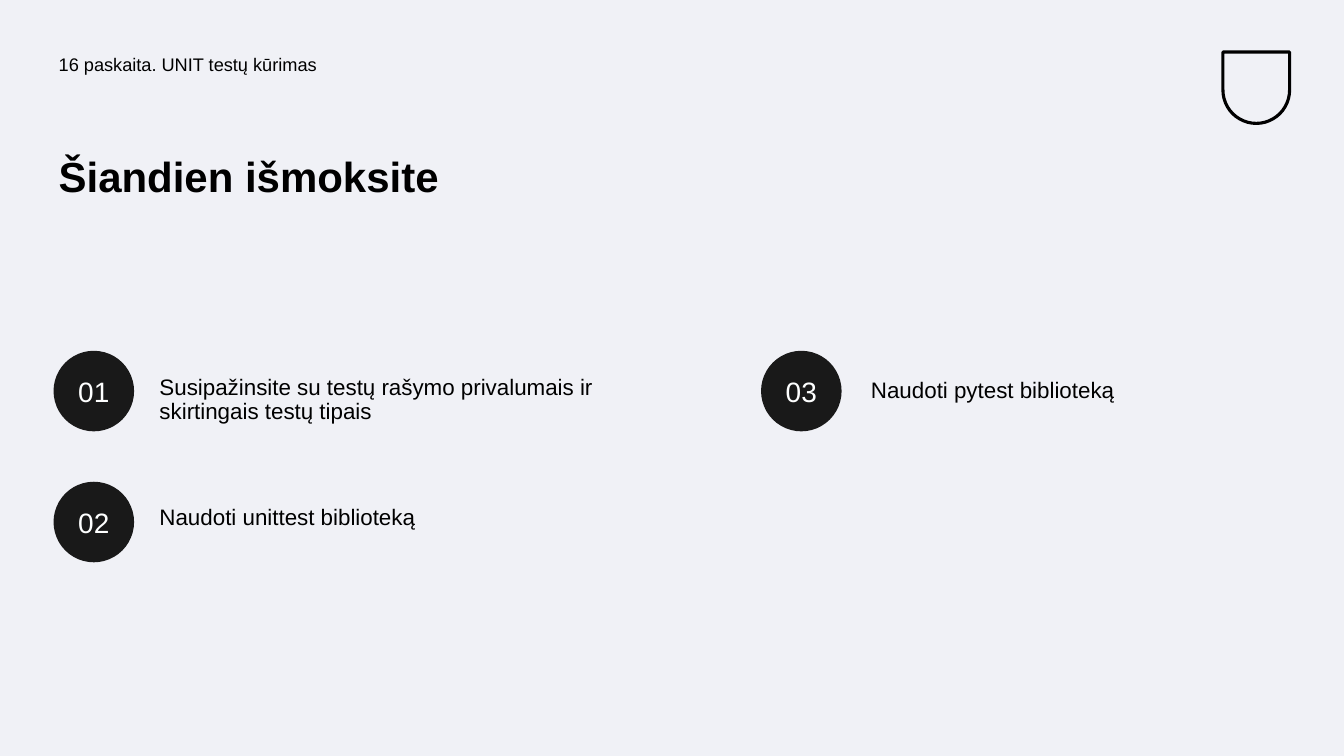
from pptx import Presentation
from pptx.dml.color import RGBColor
from pptx.enum.shapes import MSO_SHAPE as Shape
from pptx.enum.text import MSO_ANCHOR as Anchor, PP_ALIGN as Align
from pptx.util import Cm, Pt

COLORS = {
    "background": "F0F1F6",
    "ink": "000000",
    "badge": "191919",
    "number": "FEFFFF",
}


def rgb(name):
    return RGBColor.from_string(COLORS[name])


def write(holder, text, size, color="ink", bold=False, align=Align.LEFT,
          anchor=Anchor.TOP, spacing=0.9, inset=0.13):
    frame = holder.text_frame
    frame.word_wrap = True
    frame.vertical_anchor = anchor
    frame.margin_left = frame.margin_right = Cm(inset)
    frame.margin_top = frame.margin_bottom = Cm(inset)
    paragraph = frame.paragraphs[0]
    paragraph.alignment = align
    paragraph.line_spacing = spacing
    run = paragraph.add_run()
    run.text = text
    run.font.name = "Arial"
    run.font.size = Pt(size)
    run.font.bold = bold
    run.font.color.rgb = rgb(color)


deck = Presentation()
deck.slide_width, deck.slide_height = Cm(33.87), Cm(19.05)
slide = deck.slides.add_slide(deck.slide_layouts[6])
slide.background.fill.solid()
slide.background.fill.fore_color.rgb = rgb("background")
shapes = slide.shapes

# Plain shield in the top right corner
shield = shapes.add_shape(Shape.ROUND_2_SAME_RECTANGLE,
                          Cm(30.82), Cm(1.31), Cm(1.68), Cm(1.8))
shield.adjustments[0], shield.adjustments[1] = 0, 0.5
shield.shadow.inherit = False
shield.fill.background()
shield.line.color.rgb = rgb("ink")
shield.line.width = Pt(2.25)

# Lecture name and title
margin = 1.35
lecture = shapes.add_textbox(Cm(margin), Cm(1.27), Cm(15.6), Cm(0.76))
write(lecture, "16 paskaita. UNIT testų kūrimas", 13)
title = shapes.add_textbox(Cm(margin), Cm(3.81), Cm(14.3), Cm(1.42))
write(title, "Šiandien išmoksite", 30, bold=True)

# Numbered goals: badge left and top, goal left and top, goal height
goals = [
    ("Susipažinsite su testų rašymo privalumais ir skirtingais testų tipais",
     margin, 8.84, 3.89, 9.35, 1.45),
    ("Naudoti unittest biblioteką", margin, 12.14, 3.89, 12.62, 0.86),
    ("Naudoti pytest biblioteką", 19.18, 8.84, 21.82, 9.42, 0.86),
]
for number, (goal_text, badge_x, badge_y, goal_x, goal_y, height) in enumerate(goals, 1):
    badge = shapes.add_shape(Shape.OVAL, Cm(badge_x), Cm(badge_y), Cm(2.03), Cm(2.03))
    badge.shadow.inherit = False
    badge.fill.solid()
    badge.fill.fore_color.rgb = rgb("badge")
    badge.line.fill.background()
    write(badge, f"{number:02}", 20, color="number", align=Align.CENTER,
          anchor=Anchor.MIDDLE, spacing=1.0, inset=0)
    goal = shapes.add_textbox(Cm(goal_x), Cm(goal_y), Cm(11.76), Cm(height))
    write(goal, goal_text, 16)

deck.save("out.pptx")
